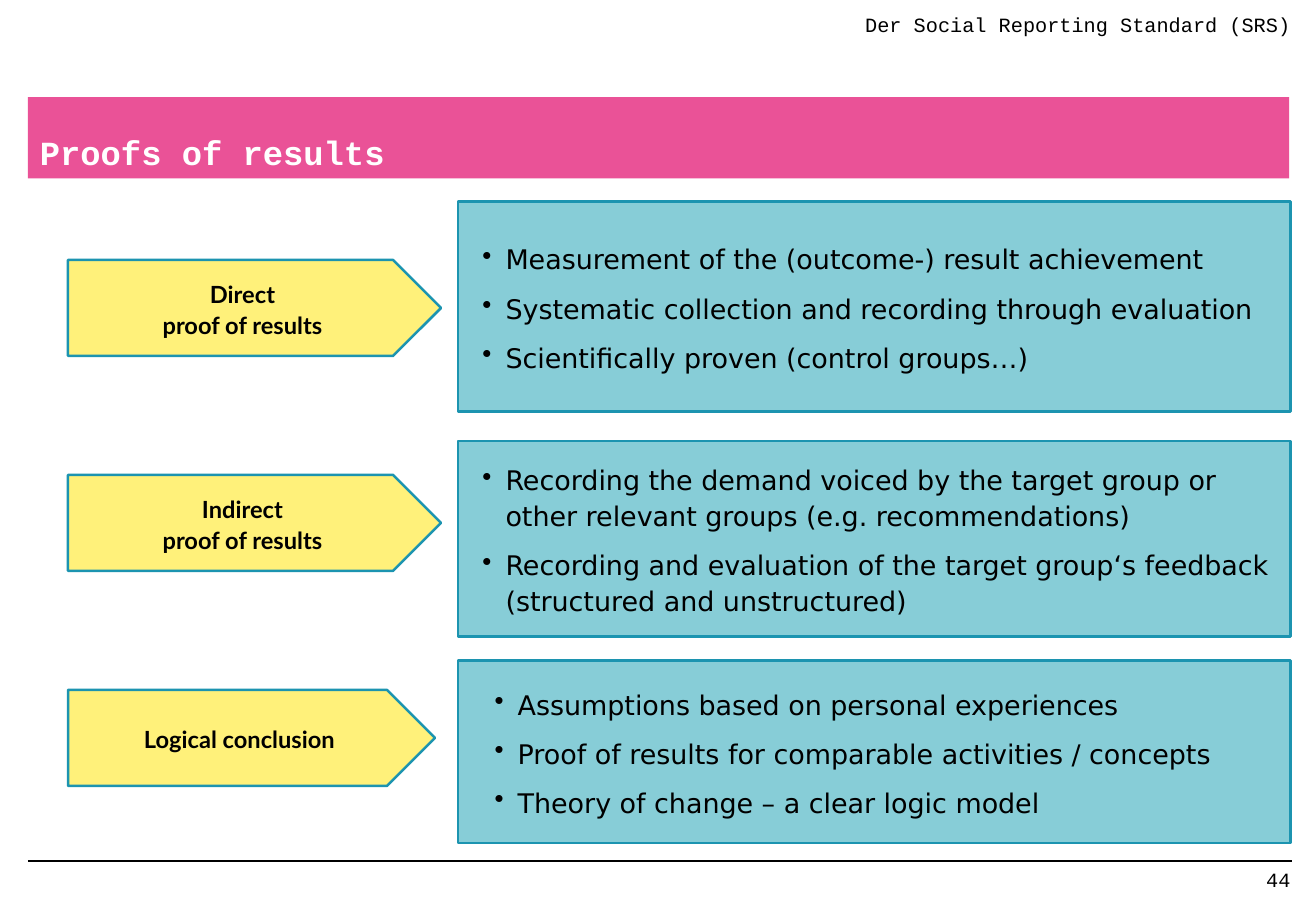
import lxml.etree
import pptx
import pptx.dml.color
import pptx.enum.shapes
import pptx.enum.text
import pptx.oxml.ns
import pptx.util

BLACK = pptx.dml.color.RGBColor(0x00, 0x00, 0x00)
WHITE = pptx.dml.color.RGBColor(0xFF, 0xFF, 0xFF)
PINK = pptx.dml.color.RGBColor(0xEA, 0x52, 0x97)
AQUA = pptx.dml.color.RGBColor(0x87, 0xCD, 0xD7)
TEAL = pptx.dml.color.RGBColor(0x1C, 0x94, 0xB0)
YELLOW = pptx.dml.color.RGBColor(0xFF, 0xF1, 0x7A)

WIDE, HIGH = 10.83, 7.5
COLS, ROWS = 108.3, 75
SHAPE = pptx.enum.shapes.MSO_SHAPE
ALIGN = pptx.enum.text.PP_ALIGN
ANCHOR = pptx.enum.text.MSO_ANCHOR


class Page:
    mono, body, label = "Courier New", "DejaVu Sans", "Lato"

    def __init__(self, deck):
        self.slide = deck.slides.add_slide(deck.slide_layouts[6])
        self.col = deck.slide_width / COLS
        self.row = deck.slide_height / ROWS

    def place(self, left, top, width, height):
        return (round(left * self.col), round(top * self.row),
                round(width * self.col), round(height * self.row))

    def letter(self, shape, text, font, size, color=BLACK, bold=False,
               align=ALIGN.LEFT, anchor=ANCHOR.TOP, inset=(0, 0, 0, 0)):
        frame = shape.text_frame
        frame.word_wrap = True
        frame.vertical_anchor = anchor
        (frame.margin_left, frame.margin_top, frame.margin_right,
         frame.margin_bottom) = [pptx.util.Inches(gap) for gap in inset]
        frame.text = text
        for para in frame.paragraphs:
            para.alignment = align
            for run in para.runs:
                run.font.name = font
                run.font.size = pptx.util.Pt(size)
                run.font.bold = bold
                run.font.color.rgb = color
        return frame.paragraphs

    def block(self, kind, box, fill, line=None):
        shape = self.slide.shapes.add_shape(kind, *self.place(*box))
        shape.shadow.inherit = False
        shape.fill.solid()
        shape.fill.fore_color.rgb = fill
        if line is None:
            shape.line.fill.background()
        else:
            shape.line.color.rgb = line
            shape.line.width = pptx.util.Pt(1.5)
        return shape

    def note(self, box, text):
        shape = self.slide.shapes.add_textbox(*self.place(*box))
        self.letter(shape, text, self.mono, 12, align=ALIGN.RIGHT,
                    inset=(0.1, 0.05, 0, 0.05))

    def title(self, box, text):
        self.letter(self.block(SHAPE.RECTANGLE, box, PINK), text, self.mono, 20,
                    WHITE, True, anchor=ANCHOR.BOTTOM,
                    inset=(0.1, 0.05, 0.1, 0.05))

    def arrow(self, box, text):
        shape = self.block(SHAPE.PENTAGON, box, YELLOW, TEAL)
        for para in self.letter(shape, text, self.label, 14, bold=True,
                                align=ALIGN.CENTER, anchor=ANCHOR.MIDDLE):
            para.line_spacing = 1.1

    def panel(self, box, items, indent, right):
        shape = self.block(SHAPE.RECTANGLE, box, AQUA, TEAL)
        paras = self.letter(shape, "\n".join(items), self.body, 16,
                            anchor=ANCHOR.MIDDLE,
                            inset=(0, 0.04, right, 0.04))
        for place, para in enumerate(paras):
            props = para._p.get_or_add_pPr()
            props.set("marL", str(pptx.util.Inches(indent)))
            props.set("indent", str(-pptx.util.Inches(0.19)))
            mark = lxml.etree.SubElement(props, pptx.oxml.ns.qn("a:buChar"))
            mark.set("char", "•")
            para.line_spacing = 1.1
            para.space_before = pptx.util.Pt(4 if place else 0)
            para.space_after = pptx.util.Pt(4)

    def rule(self, left, right, top):
        x, y, width, _ = self.place(left, top, right - left, 0)
        line = self.slide.shapes.add_connector(
            pptx.enum.shapes.MSO_CONNECTOR.STRAIGHT, x, y, x + width, y)
        line.line.color.rgb = BLACK
        line.line.width = pptx.util.Pt(1)
        lxml.etree.SubElement(line._element.spPr,
                              pptx.oxml.ns.qn("a:effectLst"))


PROOFS = [
    ("Direct\nproof of results", 30.7, 16.6, 17.3, 0.39, 0, [
        "Measurement of the (outcome-) result achievement",
        "Systematic collection and recording through evaluation",
        "Scientifically proven (control groups…)"]),
    ("Indirect\nproof of results", 30.7, 36.3, 16.1, 0.39, 0.04, [
        "Recording the demand voiced by the target group or other relevant "
        "groups (e.g. recommendations)",
        "Recording and evaluation of the target group‘s feedback "
        "(structured and unstructured)"]),
    ("Logical conclusion", 30.2, 54.4, 15, 0.49, 0.04, [
        "Assumptions based on personal experiences",
        "Proof of results for comparable activities / concepts",
        "Theory of change – a clear logic model"]),
]


def main():
    deck = pptx.Presentation()
    deck.slide_width = pptx.util.Inches(WIDE)
    deck.slide_height = pptx.util.Inches(HIGH)
    page = Page(deck)
    page.rule(2.3, 106.3, 70.9)
    page.note((80.9, 70.9, 25.3, 3.1), "44")
    page.title((2.3, 8, 103.8, 6.7), "Proofs of results")
    page.note((54.2, 0.5, 52, 4), "Der Social Reporting Standard (SRS)")
    for step, (label, width, top, height, indent, right, items) in enumerate(PROOFS):
        page.panel((37.7, top, 68.5, height), items, indent, right)
        page.arrow((5.6, 21.4 + 17.7 * step, width, 7.9), label)
    deck.save("out.pptx")


if __name__ == "__main__":
    main()
